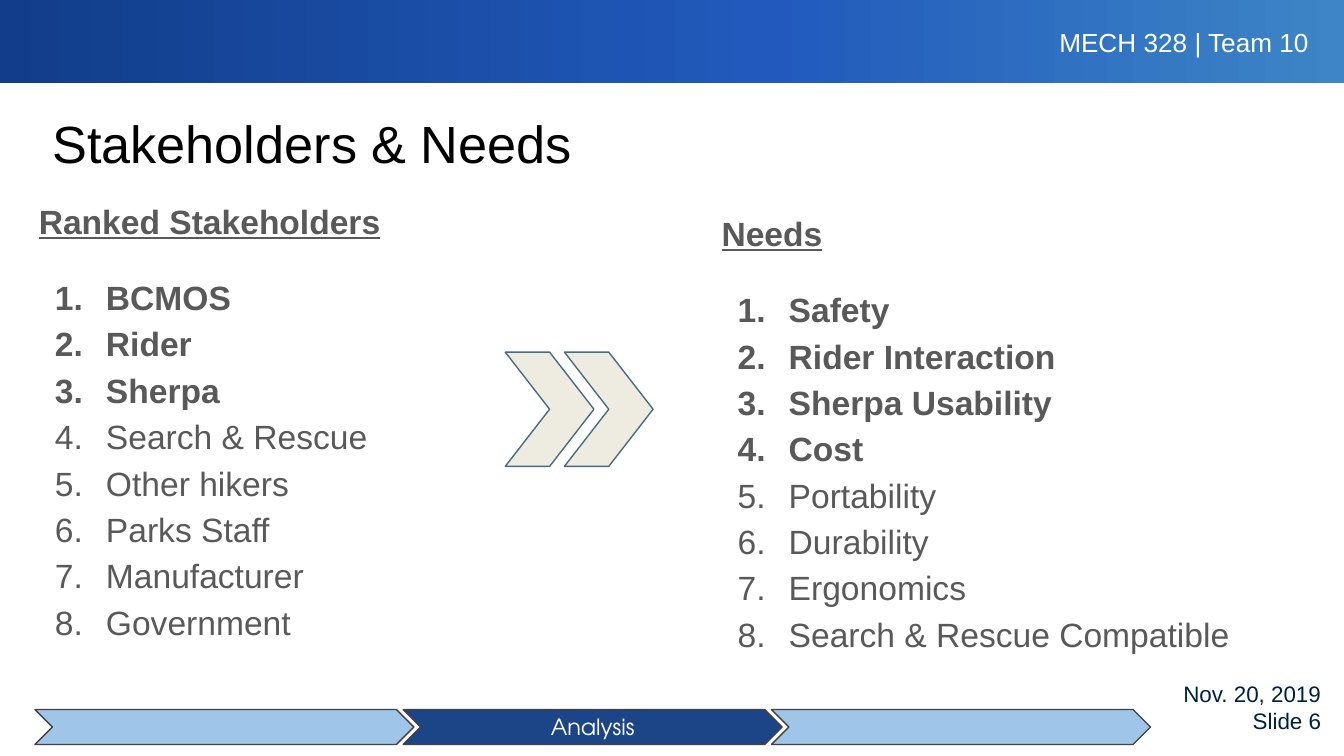
from copy import deepcopy

from lxml.etree import SubElement
from pptx import Presentation
from pptx.dml.color import RGBColor
from pptx.enum.shapes import MSO_SHAPE as Shape
from pptx.enum.text import MSO_ANCHOR as Anchor, MSO_AUTO_SIZE as Fit, PP_ALIGN as Align
from pptx.oxml.ns import qn
from pptx.util import Inches, Pt


def color(code):
    return RGBColor.from_string(code)


class Deck:
    face = "Arial"
    gray = "595959"

    def __init__(self, slide):
        self.slide = slide

    def frame(self, shape, inset=0.1, anchor=Anchor.TOP):
        frame = shape.text_frame
        frame.word_wrap = True
        frame.auto_size = Fit.NONE
        frame.vertical_anchor = anchor
        frame.margin_left = frame.margin_right = Inches(inset)
        frame.margin_top = frame.margin_bottom = Inches(inset)
        return frame

    def style(self, para, text, size, code, align=Align.LEFT, face=None, bold=False):
        para.text = text
        para.alignment = align
        font = para.font
        font.name = face or self.face
        font.size = Pt(size)
        font.bold = bold
        font.color.rgb = color(code)

    def band(self, box, stops):
        shape = self.slide.shapes.add_shape(Shape.RECTANGLE, *map(Inches, box))
        shape.shadow.inherit = False
        shape.line.fill.background()
        fill = shape.fill
        fill.gradient()
        fill.gradient_angle = 180
        items = shape.element.spPr.find(".//" + qn("a:gsLst"))
        items.insert(1, deepcopy(items[0]))
        for stop, (place, code) in zip(fill.gradient_stops, stops):
            stop.position = place
            stop.color.rgb = color(code)

    def title(self, box, text):
        shape = self.slide.shapes.title
        shape.left, shape.top, shape.width, shape.height = map(Inches, box)
        self.style(self.frame(shape).paragraphs[0], text, 28, "000000")

    def text(self, box, lines, size, code, align, inset=0.1, anchor=Anchor.TOP):
        shape = self.slide.shapes.add_textbox(*map(Inches, box))
        frame = self.frame(shape, inset, anchor)
        for i, line in enumerate(lines):
            para = frame.add_paragraph() if i else frame.paragraphs[0]
            self.style(para, line, size, code, align)

    def number(self, para):
        props = para._p.get_or_add_pPr()
        props.set("marL", str(Inches(0.5)))
        props.set("indent", str(Inches(-0.38)))
        tint = SubElement(props, qn("a:buClr"))
        SubElement(tint, qn("a:srgbClr"), val=self.gray)
        SubElement(props, qn("a:buFont"), typeface=self.face)
        SubElement(props, qn("a:buAutoNum"), type="arabicPeriod")

    def ranks(self, left, top, head, items, strong):
        box = left, top, 4.48, 3.74
        frame = self.frame(self.slide.shapes.add_textbox(*map(Inches, box)))
        para = frame.paragraphs[0]
        para.line_spacing = 1.15
        self.style(para, head, 18, self.gray, bold=True)
        para.font.underline = True
        for i, item in enumerate(items):
            para = frame.add_paragraph()
            para.line_spacing = 1.15
            para.space_before = Pt(0 if i else 16)
            self.number(para)
            self.style(para, item, 18, self.gray, bold=i < strong)

    def arrow(self, box, fill, line, text="", home=None):
        home = home or self.slide
        shape = home.shapes.add_shape(Shape.CHEVRON, *map(Inches, box))
        shape.shadow.inherit = False
        shape.fill.solid()
        shape.fill.fore_color.rgb = color(fill)
        shape.line.color.rgb = color(line)
        shape.line.width = Pt(0.75)
        if text:
            frame = self.frame(shape, anchor=Anchor.MIDDLE)
            self.style(frame.paragraphs[0], text, 12, "FFFFFF",
                       Align.CENTER, "TeX Gyre Adventor")

    def steps(self, names, active):
        group = self.slide.shapes.add_group_shape()
        for i, name in enumerate(names):
            fill = "1C4587" if i == active else "9FC5E8"
            self.arrow((0.26 + 2.74 * i, 5.28, 2.82, 0.26), fill, "424242", name, group)


def main():
    show = Presentation()
    show.slide_width = Inches(10)
    show.slide_height = show.slide_width * 9 // 16
    deck = Deck(show.slides.add_slide(show.slide_layouts[5]))
    deck.band((0, 0, 10, 0.62), [(0, "3D85C6"), (0.43, "215ABC"), (1, "113D8A")])
    deck.text((8.19, 5.06, 1.64, 0.4), ["Nov. 20, 2019", "Slide 6"],
              12, "002040", Align.RIGHT, inset=0)
    deck.text((7.7, 0.06, 2.22, 0.51), ["MECH 328 | Team 10"],
              14, "FFFFFF", Align.CENTER, anchor=Anchor.MIDDLE)
    deck.title((0.29, 0.73, 9.32, 0.63), "Stakeholders & Needs")
    deck.ranks(0.19, 1.35, "Ranked Stakeholders",
               ["BCMOS", "Rider", "Sherpa", "Search & Rescue", "Other hikers",
                "Parks Staff", "Manufacturer", "Government"], 3)
    deck.ranks(5.27, 1.44, "Needs",
               ["Safety", "Rider Interaction", "Sherpa Usability", "Cost", "Portability",
                "Durability", "Ergonomics", "Search & Rescue Compatible"], 4)
    for left in (4.2, 3.76):
        deck.arrow((left, 2.62, 0.66, 0.85), "EEECE1", "486B7F")
    deck.steps(["", "Analysis", ""], 1)
    show.save("out.pptx")


if __name__ == "__main__":
    main()
